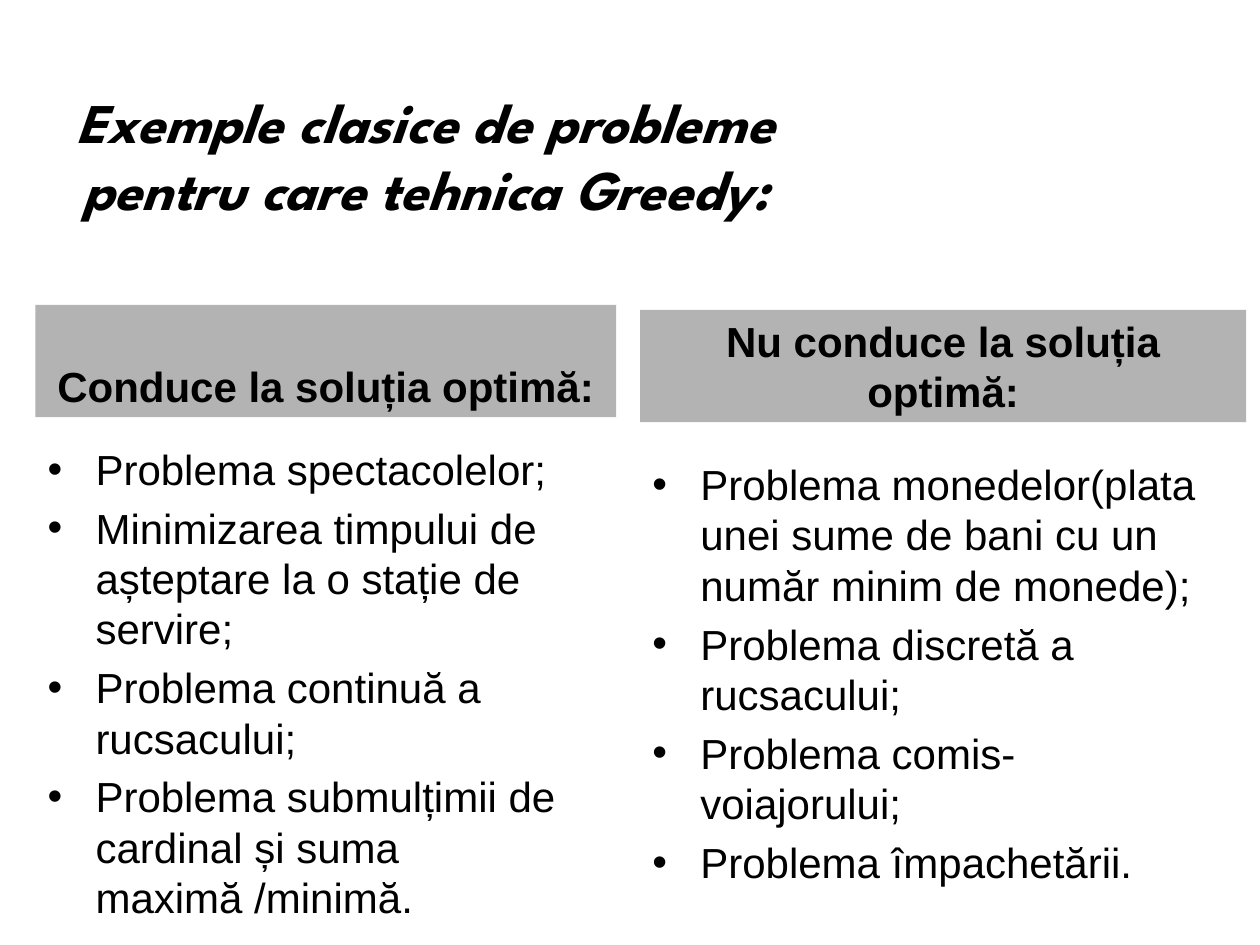
from lxml import etree
from pptx import Presentation
from pptx.dml.color import RGBColor
from pptx.enum.shapes import MSO_SHAPE
from pptx.enum.text import MSO_ANCHOR, PP_ALIGN
from pptx.oxml.ns import qn
from pptx.util import Inches, Pt

RECTANGLE = MSO_SHAPE.RECTANGLE
TOP, MIDDLE, BOTTOM = MSO_ANCHOR.TOP, MSO_ANCHOR.MIDDLE, MSO_ANCHOR.BOTTOM
LEFT, CENTER = PP_ALIGN.LEFT, PP_ALIGN.CENTER

BLACK = RGBColor(0x00, 0x00, 0x00)
GREY = RGBColor(0xB3, 0xB3, 0xB3)

BODY_SIZE = 24
SPACE_BEFORE = Pt(BODY_SIZE * 0.2)
BULLET_INDENT = Inches(0.38)

# Each column: heading, heading box, list box, problems (boxes in inches)
COLUMNS = [
    ("Conduce la soluția optimă:",
     (0.28, 2.42, 4.61, 0.89), (0.28, 3.47, 4.42, 3.94),
     ["Problema spectacolelor;",
      "Minimizarea timpului de așteptare la o stație de servire;",
      "Problema continuă a rucsacului;",
      "Problema submulțimii de cardinal și suma maximă /minimă."]),
    ("Nu conduce la soluția optimă:",
     (5.08, 2.46, 4.81, 0.89), (5.08, 3.59, 4.65, 3.7),
     ["Problema monedelor(plata unei sume de bani cu un număr minim de monede);",
      "Problema discretă a rucsacului;",
      "Problema comis-voiajorului;",
      "Problema împachetării."]),
]


def to_emu(box):
    return [Inches(length) for length in box]


def format_text(frame, anchor, align, size=BODY_SIZE, font="Arial",
                bold=False, italic=False):
    frame.word_wrap = True
    frame.vertical_anchor = anchor
    for paragraph in frame.paragraphs:
        paragraph.alignment = align
        for run in paragraph.runs:
            run.font.name = font
            run.font.size = Pt(size)
            run.font.bold = bold
            run.font.italic = italic
            run.font.color.rgb = BLACK


def add_bullet(paragraph):
    properties = paragraph._p.get_or_add_pPr()
    properties.set("marL", str(BULLET_INDENT))
    properties.set("indent", str(-BULLET_INDENT))
    etree.SubElement(properties, qn("a:buFont")).set("typeface", "Arial")
    etree.SubElement(properties, qn("a:buChar")).set("char", "•")


def place_title(slide, box):
    title = slide.shapes.title
    title.left, title.top, title.width, title.height = to_emu(box)
    title.text_frame.text = "Exemple clasice de probleme pentru care tehnica Greedy:"
    format_text(title.text_frame, MIDDLE, CENTER, 32, "League Spartan",
                bold=True, italic=True)


def add_heading(slide, box, text):
    heading = slide.shapes.add_shape(RECTANGLE, *to_emu(box))
    heading.shadow.inherit = False
    heading.fill.solid()
    heading.fill.fore_color.rgb = GREY
    heading.line.fill.background()
    heading.text_frame.text = text
    heading.text_frame.paragraphs[0].space_before = SPACE_BEFORE
    format_text(heading.text_frame, BOTTOM, CENTER, bold=True)


def add_problem_list(slide, box, problems):
    frame = slide.shapes.add_textbox(*to_emu(box)).text_frame
    frame.text = "\n".join(problems)
    for paragraph in frame.paragraphs:
        paragraph.space_before = SPACE_BEFORE
        add_bullet(paragraph)
    format_text(frame, TOP, LEFT)


def main():
    prs = Presentation()
    prs.slide_width, prs.slide_height = Inches(10), Inches(7.5)
    slide = prs.slides.add_slide(prs.slide_layouts[5])  # title only

    place_title(slide, (0.35, 0.6, 6.06, 1.25))
    for heading, heading_box, list_box, problems in COLUMNS:
        add_heading(slide, heading_box, heading)
        add_problem_list(slide, list_box, problems)

    prs.save("out.pptx")


if __name__ == "__main__":
    main()
